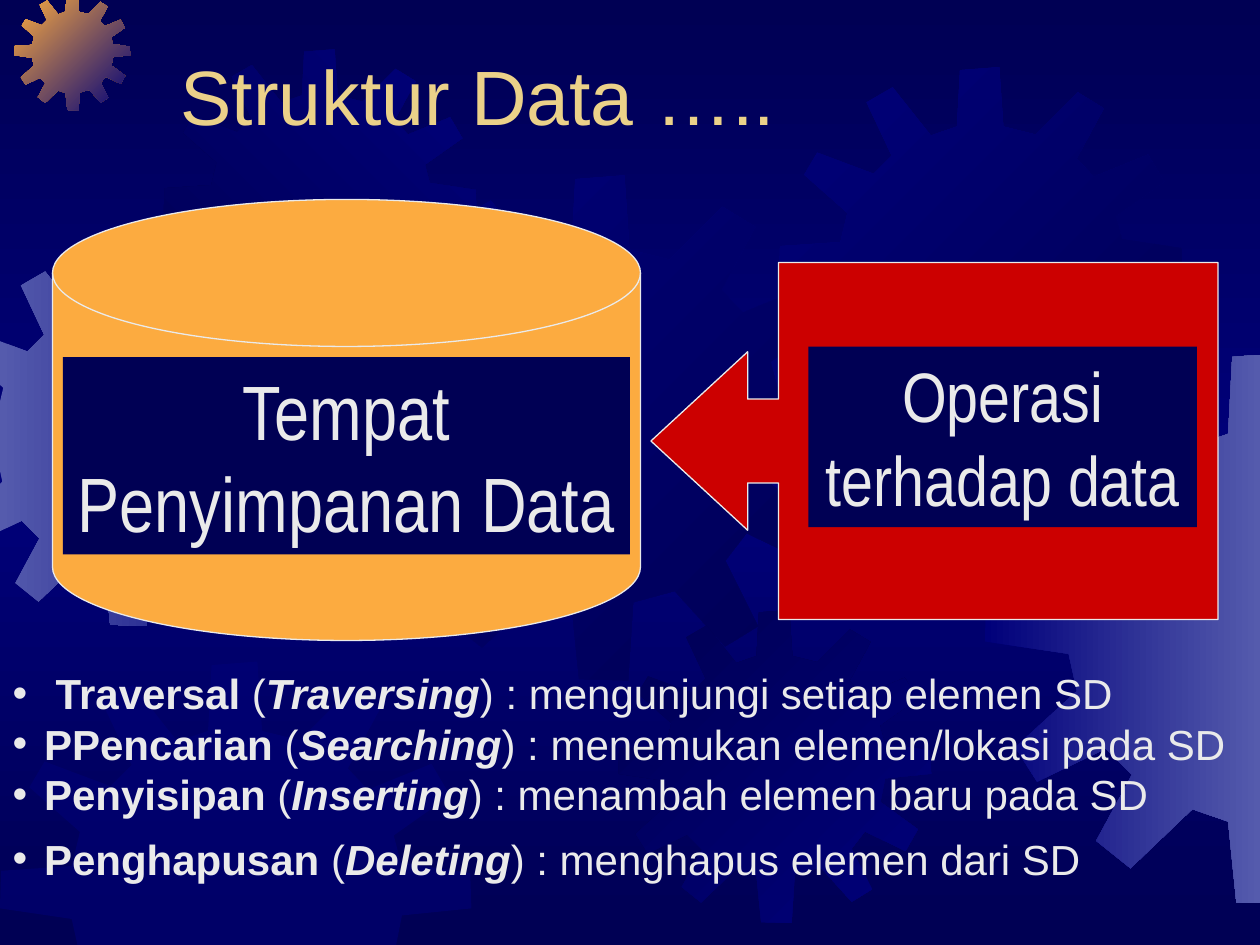
"""Build the data structure slide: a store, the operations on it, and their list."""
from copy import deepcopy
from itertools import pairwise

from lxml.etree import SubElement
from pptx import Presentation
from pptx.dml.color import RGBColor
from pptx.enum.shapes import MSO_SHAPE as SHAPE
from pptx.enum.text import MSO_ANCHOR as ANCHOR, MSO_AUTO_SIZE as FIT, PP_ALIGN as ALIGN
from pptx.oxml.ns import qn
from pptx.util import Inches, Pt

NAVY, BLUE, LILAC, ORANGE = "000054", "00007A", "555BAD", "FCAB40"
RED, GOLD, PALE = "CC0000", "EBD189", "EAEAEA"
COLUMNS, ROWS = 120, 90

deck = Presentation()
deck.slide_width, deck.slide_height = Inches(10), Inches(7.5)
CELL = deck.slide_width // COLUMNS
page = deck.slides.add_slide(deck.slide_layouts[1])


def tint(code):
    return RGBColor.from_string(code)


def cells(*counts):
    return [round(count * CELL) for count in counts]


backdrop = page.background.fill
backdrop.gradient()
backdrop.gradient_angle = 270
for stop, code in zip(backdrop.gradient_stops, (NAVY, NAVY)):
    stop.color.rgb = tint(code)
stop_list = page.element.find(".//" + qn("a:gsLst"))
stop_list.insert(1, deepcopy(stop_list[0]))
middle = backdrop.gradient_stops[1]
middle.position, middle.color.rgb = 0.5, tint(BLUE)

GEAR_SIZE = 401
GEAR = [
    (255, 67), (223, 59), (219, 0), (180, 3), (177, 59), (151, 68), (113, 20), (87, 35),
    (112, 88), (94, 106), (38, 85), (25, 107), (68, 145), (61, 174), (1, 178), (0, 210),
    (61, 219), (67, 246), (22, 287), (38, 312), (88, 288), (107, 307), (81, 355), (106, 375),
    (151, 332), (177, 341), (183, 400), (222, 401), (226, 339), (259, 330), (299, 374), (325, 358),
    (299, 306), (316, 284), (368, 309), (384, 281), (336, 246), (342, 216), (401, 210), (400, 180),
    (341, 171), (335, 148), (383, 114), (367, 87), (313, 109), (296, 91), (323, 41), (297, 25),
]
EDGES = [(0, 0, 1), (0, COLUMNS, -1), (1, 0, 1), (1, ROWS, -1)]
gears = [
    (-5.7, 24.1, 35.5, LILAC, BLUE, 0),
    (1.4, -0.5, 11, ORANGE, BLUE, 45),
    (15.6, 4.7, 29.8, NAVY, BLUE, 315),
    (33.2, 16.7, 48.1, BLUE, NAVY, 45),
    (0, 63, 44.9, BLUE, None, 0),
    (58.9, 58.1, 29.8, NAVY, BLUE, 45),
    (74.2, 6.4, 38.4, BLUE, NAVY, 45),
    (93.8, 33.6, 52.5, BLUE, LILAC, 0),
]
for left, top, size, first, last, angle in gears:
    scale = size / GEAR_SIZE
    outline = [(left + x * scale, top + y * scale) for x, y in GEAR]
    for axis, limit, sign in EDGES:
        kept = []
        for start, end in pairwise(outline + outline[:1]):
            before, after = [(point[axis] - limit) * sign for point in (start, end)]
            if before >= 0:
                kept.append(start)
            if before * after < 0:
                share = before / (before - after)
                kept.append(tuple(a + (b - a) * share for a, b in zip(start, end)))
        outline = kept
    points = [cells(*point) for point in outline]
    builder = page.shapes.build_freeform(*points[0])
    builder.add_line_segments(points[1:], close=True)
    gear = builder.convert_to_shape()
    gear.shadow.inherit = False
    gear.line.fill.background()
    if last:
        gear.fill.gradient()
        gear.fill.gradient_angle = -angle % 360
        for stop, code in zip(gear.fill.gradient_stops, (first, last)):
            stop.color.rgb = tint(code)
    else:
        gear.fill.solid()
        gear.fill.fore_color.rgb = tint(first)
        color = gear.element.spPr.find(".//" + qn("a:srgbClr"))
        SubElement(color, qn("a:alpha"), val="50000")

title, body = page.placeholders
for box, area in ((title, (16, 6, 72, 8)), (body, (0, 63, COLUMNS, 27))):
    box.left, box.top, box.width, box.height = cells(*area)
    box.text_frame.auto_size = FIT.NONE
    box.text_frame.word_wrap = True
    page.shapes.element.append(box.element)

title.text_frame.vertical_anchor = ANCHOR.BOTTOM
para = title.text_frame.paragraphs[0]
para.alignment = ALIGN.LEFT
span = para.add_run()
span.text = "Struktur Data ….."
span.font.name, span.font.size, span.font.color.rgb = "Arial", Pt(44), tint(GOLD)

figures = [
    (SHAPE.FLOWCHART_MAGNETIC_DISK, (5, 19, 56, 42), [], ORANGE,
     (6, 34, 54, 18.8), "Tempat Penyimpanan Data", 44),
    (SHAPE.LEFT_ARROW_CALLOUT, (62, 25, 54, 34), [0.235, 0.25, 0.271, 0.775], RED,
     (77, 33, 37, 17.2), "Operasi terhadap data", 40),
]
for kind, area, adjustments, code, label_area, words, size in figures:
    group = page.shapes.add_group_shape()
    figure = group.shapes.add_shape(kind, *cells(*area))
    for index, value in enumerate(adjustments):
        figure.adjustments[index] = value
    figure.line.color.rgb, figure.line.width = tint(PALE), Pt(0.75)
    label = group.shapes.add_shape(SHAPE.RECTANGLE, *cells(*label_area))
    label.line.fill.background()
    for shape, fill in ((figure, code), (label, NAVY)):
        shape.shadow.inherit = False
        shape.fill.solid()
        shape.fill.fore_color.rgb = tint(fill)
    label.text_frame.word_wrap = True
    label.text_frame.vertical_anchor = ANCHOR.MIDDLE
    para = label.text_frame.paragraphs[0]
    para.alignment = ALIGN.CENTER
    span = para.add_run()
    span.text = words
    span.font.name, span.font.size, span.font.color.rgb = "Arial Narrow", Pt(size), tint(PALE)

operations = [
    (" Traversal", "Traversing", "mengunjungi setiap elemen SD", 0),
    ("PPencarian", "Searching", "menemukan elemen/lokasi pada SD", 0),
    ("Penyisipan", "Inserting", "menambah elemen baru pada SD", 0),
    ("Penghapusan", "Deleting", "menghapus elemen dari SD", 8),
]
page.shapes.element.append(body.element)
frame = body.text_frame
for index, (name, term, meaning, gap) in enumerate(operations):
    para = frame.add_paragraph() if index else frame.paragraphs[0]
    para.alignment, para.space_before = ALIGN.JUSTIFY, Pt(gap)
    layout = para._p.get_or_add_pPr()
    layout.set("marL", str(Inches(0.25)))
    layout.set("indent", str(-Inches(0.25)))
    SubElement(layout, qn("a:buFont"), typeface="Arial")
    SubElement(layout, qn("a:buChar"), char="•")
    pieces = [(name, True, False), (" (", False, False), (term, True, True),
              (f") : {meaning}", False, False)]
    for words, bold, italic in pieces:
        span = para.add_run()
        span.text = words
        font = span.font
        font.name, font.size, font.color.rgb = "Arial", Pt(24), tint(PALE)
        font.bold, font.italic = bold, italic

deck.save("out.pptx")
